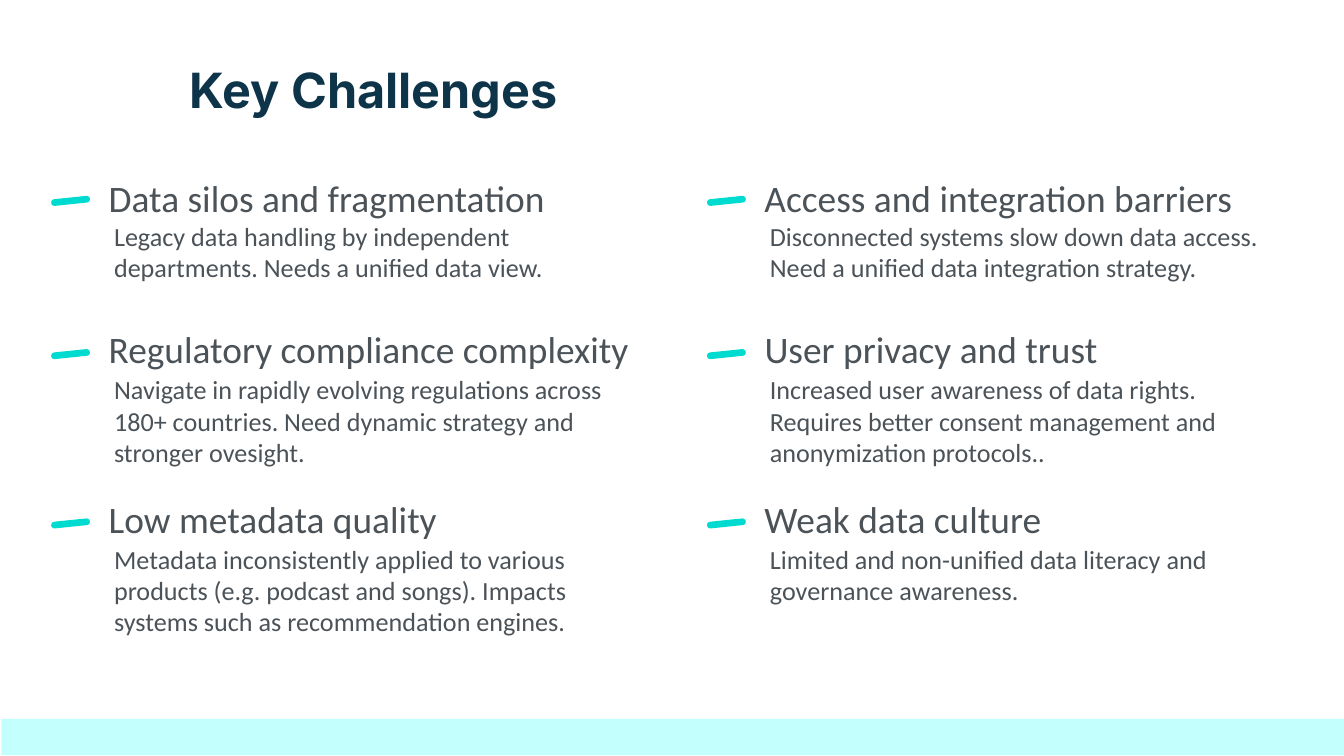
from dataclasses import dataclass

from pptx import Presentation
from pptx.dml.color import RGBColor
from pptx.enum.shapes import MSO_SHAPE as SHAPE
from pptx.enum.text import MSO_ANCHOR as ANCHOR, MSO_AUTO_SIZE as AUTO, PP_ALIGN as ALIGN
from pptx.util import Inches, Pt


@dataclass(frozen=True)
class Theme:
    navy: str = "0E3449"
    gray: str = "4B5258"
    teal: str = "00DBD0"
    pale: str = "C3FFFC"
    title_font: str = "Inter"
    text_font: str = "Calibri"
    title_size: int = 26
    heading_size: int = 20
    body_size: int = 14


T = Theme()


def write(s, text, size, color=T.gray, font=T.text_font, bold=False):
    tf = s.text_frame
    tf.word_wrap = True
    tf.auto_size = AUTO.NONE
    tf.vertical_anchor = ANCHOR.TOP
    tf.margin_left = tf.margin_right = tf.margin_top = tf.margin_bottom = Inches(0.1)
    p = tf.paragraphs[0]
    p.alignment = ALIGN.LEFT
    r = p.add_run()
    r.text = text
    r.font.size = Pt(size)
    r.font.name = font
    r.font.bold = bold
    r.font.color.rgb = RGBColor.from_string(color)


def add_block(kind, left, top, width, height, color):
    s = sp.add_shape(kind, Inches(left), Inches(top), Inches(width), Inches(height))
    s.shadow.inherit = False
    s.fill.solid()
    s.fill.fore_color.rgb = RGBColor.from_string(color)
    s.line.fill.background()
    return s


prs = Presentation()
prs.slide_width = Inches(10)
prs.slide_height = Inches(10) * 9 // 16
slide = prs.slides.add_slide(prs.slide_layouts[5])
sp = slide.shapes

add_block(SHAPE.RECTANGLE, 0.01, 5.35, 10, 0.27, T.pale)

title = sp.title
title.left, title.top = Inches(1.31), Inches(0.35)
title.width, title.height = Inches(6.56), Inches(0.68)
write(title, "Key Challenges", T.title_size, T.navy, T.title_font, bold=True)

COLUMNS = [0.38, 5.26]
# Tops of the heading, the dash and the body text in each row
ROWS = [(1.2, 1.47, 1.54), (2.33, 2.61, 2.68), (3.59, 3.87, 3.94)]
CHALLENGES = [
    [
        ("Data silos and fragmentation", 3.76,
         "Legacy data handling by independent departments. Needs a unified data view.", 0.7),
        ("Access and integration barriers", 3.76,
         "Disconnected systems slow down data access. Need a unified data integration strategy.",
         0.72),
    ],
    [
        ("Regulatory compliance complexity", 4.42,
         "Navigate in rapidly evolving regulations across 180+ countries. "
         "Need dynamic strategy and stronger ovesight.", 0.83),
        ("User privacy and trust", 4.42,
         "Increased user awareness of data rights. Requires better consent management "
         "and anonymization protocols..", 0.91),
    ],
    [
        ("Low metadata quality", 2.85,
         "Metadata inconsistently applied to various products (e.g. podcast and songs). "
         "Impacts systems such as recommendation engines.", 0.93),
        ("Weak data culture", 3.84,
         "Limited and non-unified data literacy and governance awareness.", 0.45),
    ],
]

for (heading_top, dash_top, body_top), row in zip(ROWS, CHALLENGES):
    for left, (heading, width, body, height) in zip(COLUMNS, row):
        dash = add_block(SHAPE.ROUNDED_RECTANGLE, left, dash_top, 0.29, 0.05, T.teal)
        dash.adjustments[0] = 0.5
        dash.rotation = 354.1
        s = sp.add_textbox(Inches(left + 0.33), Inches(heading_top), Inches(width), Inches(0.56))
        write(s, heading, T.heading_size)
        s = sp.add_textbox(Inches(left + 0.37), Inches(body_top), Inches(3.89), Inches(height))
        write(s, body, T.body_size)

prs.save("out.pptx")
